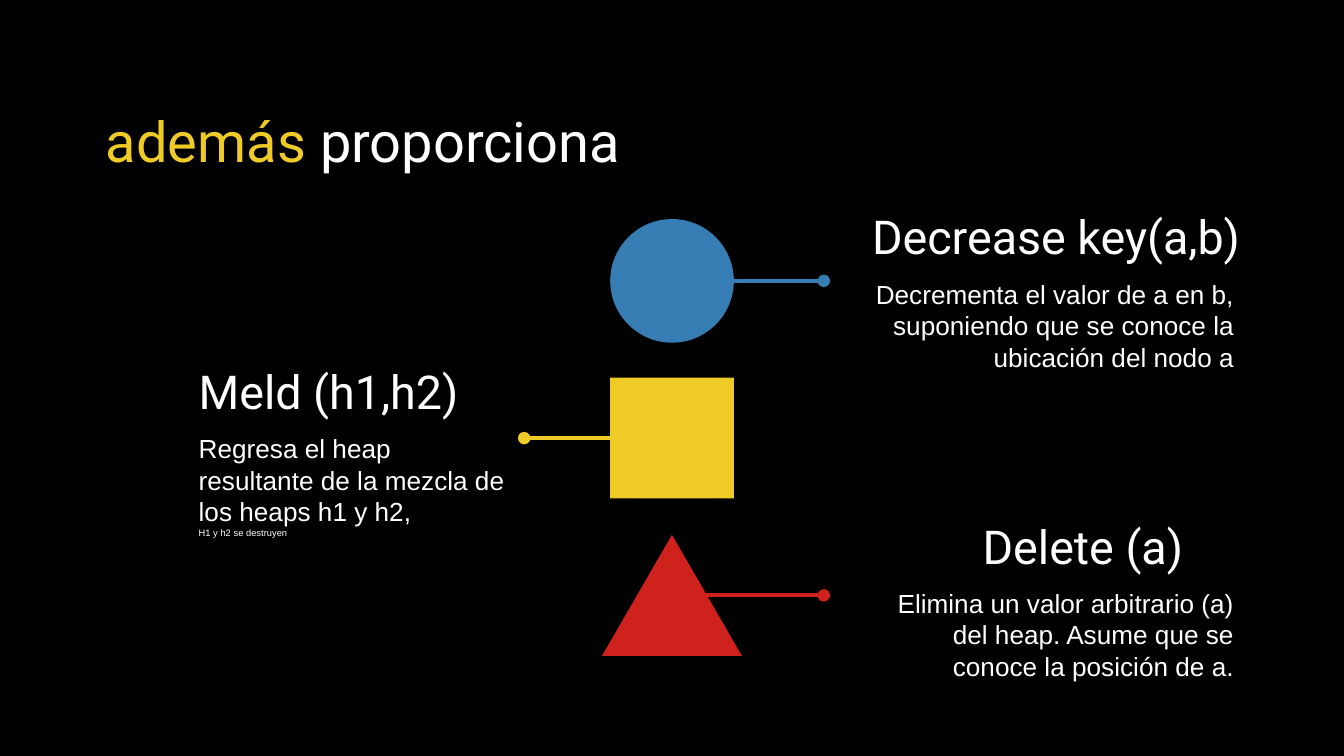
from pptx import Presentation
from pptx.util import Inches, Pt
from pptx.dml.color import RGBColor
from pptx.enum.shapes import MSO_SHAPE as SHAPE, MSO_CONNECTOR as CONN
from pptx.enum.text import PP_ALIGN as AL, MSO_ANCHOR as ANC
from pptx.oxml.ns import qn
from lxml.etree import SubElement

W = 10
H = W * 9 / 16
COLORS = {"black": "000000", "white": "FFFFFF", "blue": "357DB2",
          "yellow": "EFCB27", "red": "D0221C"}

# Content
TITLE = [("además", "yellow"), (" proporciona", "white")]
ROWS = [  # shape, its size, colour, connector start and end x
    (SHAPE.OVAL, 0.92, 0.92, "blue", 6.13, 5.06),
    (SHAPE.RECTANGLE, 0.92, 0.9, "yellow", 3.9, 4.96),
    (SHAPE.ISOSCELES_TRIANGLE, 1.04, 0.9, "red", 6.13, 5.06),
]
OPERATIONS = [  # heading, its align, left, width; body lines, align, left, width, left inset
    ("Decrease key(a,b)", AL.LEFT, 6.39, 3.36,
     [("Decrementa el valor de a en b, suponiendo que se conoce la ubicación del nodo a", 14)],
     AL.RIGHT, 6.39, 2.89, 0.1),
    ("Meld (h1,h2)", AL.LEFT, 1.38, 2.51,
     [("Regresa el heap resultante de la mezcla de los heaps h1 y h2,", 14),
      ("H1 y h2 se destruyen", 5)],
     AL.LEFT, 1.38, 2.51, 0.1),
    ("Delete (a)", AL.RIGHT, 6.39, 2.51,
     [("Elimina un valor arbitrario (a) del heap. Asume que se conoce la posición de a.", 14)],
     AL.RIGHT, 6.41, 2.87, 0),
]

# Grid: rows of shapes share a centre line, text rows share a pitch
CENTER_X, FIRST_Y, ROW_STEP = W / 2, 2.09, 1.17
TEXT_Y, TEXT_STEP, HEAD_H = 1.45, 1.15, 0.52


def rgb(name):
    return RGBColor.from_string(COLORS[name])


def add_text(s, paragraphs, box, font="Arial", align=AL.LEFT, anchor=ANC.TOP,
             left_inset=0.1):
    """Each paragraph is a list of (text, size, colour) runs."""
    tf = s.shapes.add_textbox(*map(Inches, box)).text_frame
    tf.word_wrap = True
    tf.vertical_anchor = anchor
    tf.margin_left = Inches(left_inset)
    tf.margin_right = tf.margin_top = tf.margin_bottom = Inches(0.1)
    for i, runs in enumerate(paragraphs):
        p = tf.add_paragraph() if i else tf.paragraphs[0]
        p.alignment = align
        for text, size, color in runs:
            r = p.add_run()
            r.text = text
            r.font.name, r.font.size = font, Pt(size)
            r.font.color.rgb = rgb(color)


def add_pointer(s, x1, x2, y, color):
    line = s.shapes.add_connector(CONN.STRAIGHT, *map(Inches, (x1, y, x2, y)))
    line.line.color.rgb = rgb(color)
    line.line.width = Pt(2.25)
    SubElement(line.line._get_or_add_ln(), qn("a:headEnd"), type="oval")
    SubElement(line._element.spPr, qn("a:effectLst"))


def add_figure(s, kind, w, h, y, color):
    sp = s.shapes.add_shape(kind, *map(Inches, (CENTER_X - w / 2, y - h / 2, w, h)))
    sp.shadow.inherit = False
    sp.fill.solid()
    sp.fill.fore_color.rgb = rgb(color)
    sp.line.fill.background()


prs = Presentation()
prs.slide_width, prs.slide_height = Inches(W), Inches(H)
s = prs.slides.add_slide(prs.slide_layouts[6])
s.background.fill.solid()
s.background.fill.fore_color.rgb = rgb("black")

# Title
add_text(s, [[(text, 30, color) for text, color in TITLE]], (0.69, 0.52, 7.11, 1.05),
         font="Roboto", anchor=ANC.MIDDLE)

# Shapes over their pointers
for i, (kind, w, h, color, x1, x2) in enumerate(ROWS):
    y = FIRST_Y + i * ROW_STEP
    add_pointer(s, x1, x2, y, color)
    add_figure(s, kind, w, h, y, color)

# Headings and descriptions
for i, (head, head_al, head_x, head_w, lines, body_al, x, w, inset) in enumerate(OPERATIONS):
    y = TEXT_Y + i * TEXT_STEP
    add_text(s, [[(head, 25, "white")]], (head_x, y, head_w, HEAD_H),
             font="Roboto", align=head_al)
    add_text(s, [[(text, size, "white")] for text, size in lines],
             (x, y + HEAD_H, w, 0.76 if len(lines) == 1 else 1.03),
             align=body_al, left_inset=inset)

prs.save("out.pptx")
